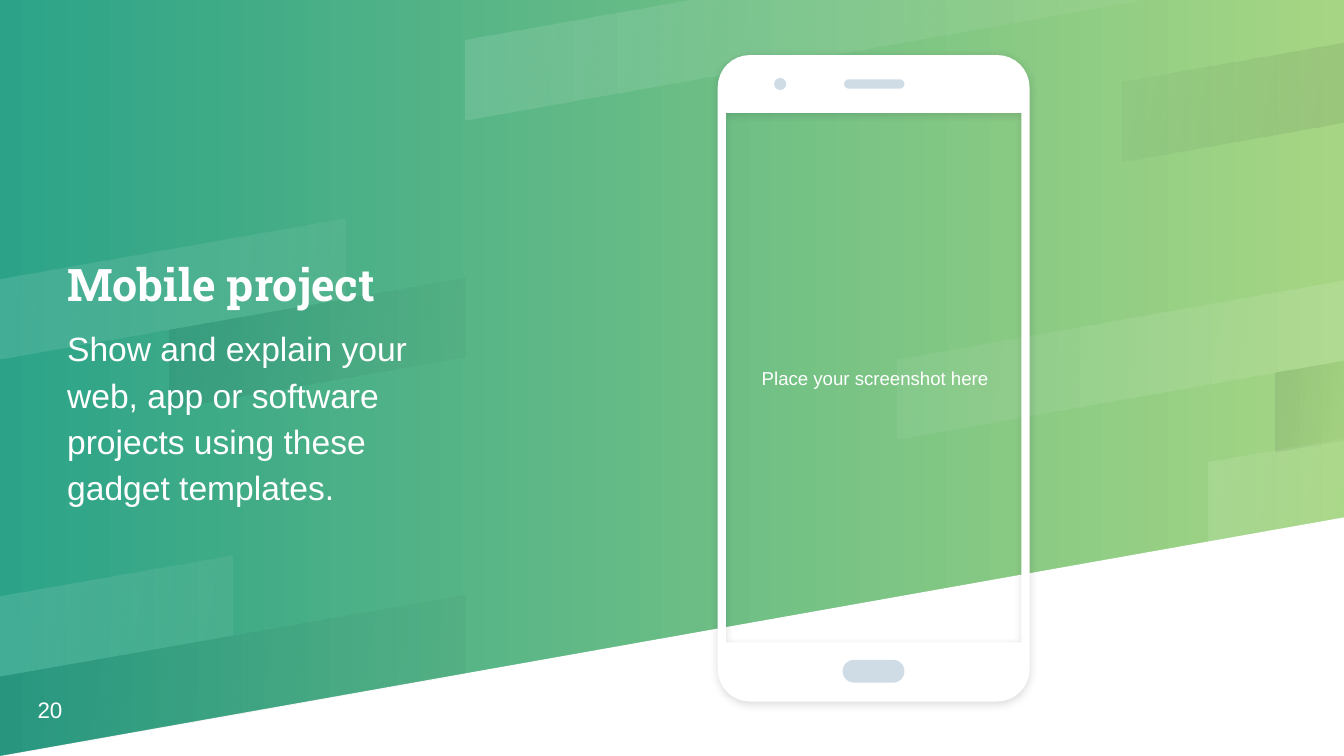
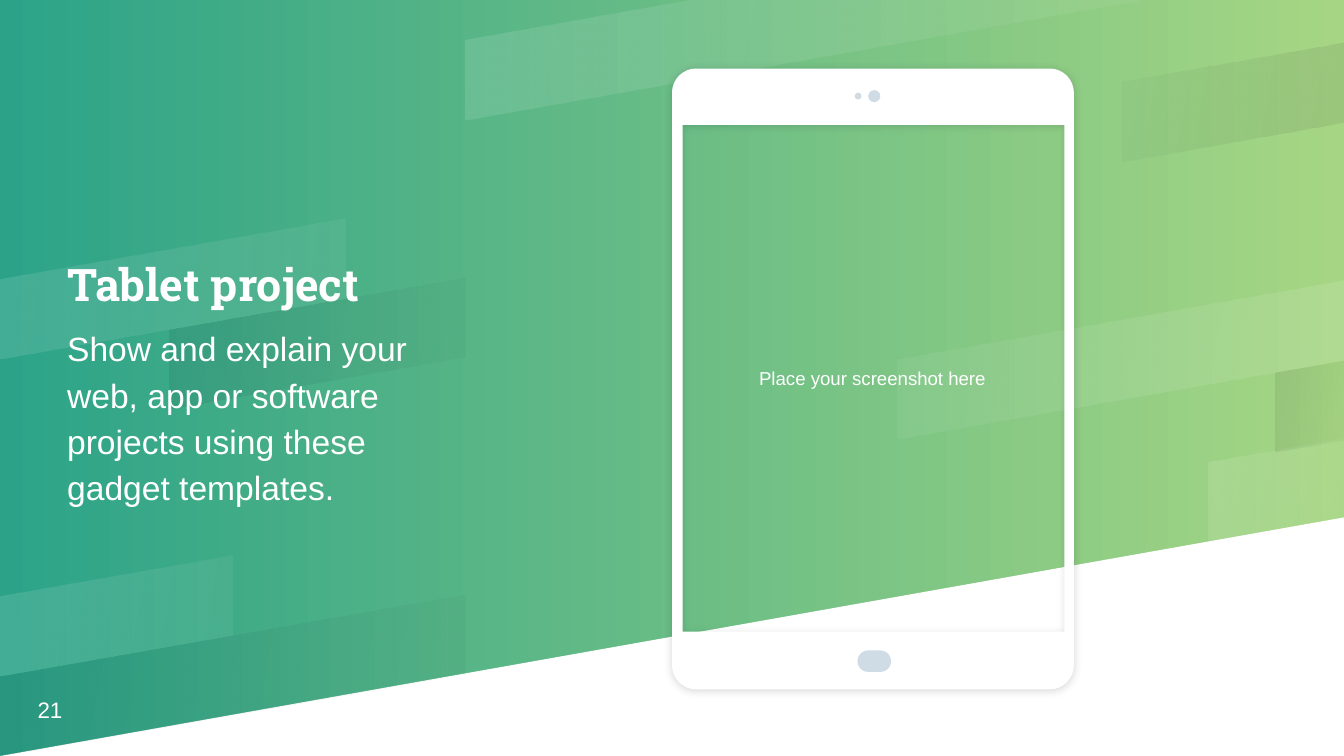
from math import cos, pi, sin

from lxml.etree import SubElement
from pptx import Presentation
from pptx.dml.color import RGBColor
from pptx.enum.shapes import MSO_SHAPE
from pptx.enum.text import MSO_ANCHOR, PP_ALIGN
from pptx.oxml.ns import qn
from pptx.util import Inches, Pt

WIDTH = 10
HEIGHT = WIDTH * 9 / 16
HORIZON = 3.85       # height of the white wedge at the right edge
SLOPE = 1.76 / 10    # rise shared by all bands
BAND_HEIGHT = 0.59

COLORS = {
    "teal": "2CA388",
    "lime": "A6D683",
    "white": "FFFFFF",
    "ink": "00001A",
    "detail": "CFDCE6",
}

# Text styles
TITLE = {"name": "Roboto Slab", "size": Pt(24), "bold": True}
BODY = {"name": "Arial", "size": Pt(18), "bold": False}
HINT = {"name": "Arial", "size": Pt(10)}
NUMBER = {"name": "Arial", "size": Pt(12)}
SPACED = {"line_spacing": 1.15, "space_before": Pt(6)}
CENTERED = {"alignment": PP_ALIGN.CENTER}

# Bands: left, right, top at the left edge, color, opacity from and to (percent)
BANDS = [
    (3.46, 8.48, 0.3, "white", 12, 5),
    (0, 3.46, 5.03, "ink", 8, 2),
    (8.99, 10, 3.44, "white", 12, 5),
    (0, 1.73, 4.44, "white", 12, 5),
    (9.49, 10, 2.77, "ink", 8, 2),
    (6.68, 10, 2.67, "white", 5, 12),
    (1.26, 3.46, 2.45, "ink", 8, 2),
    (0, 2.57, 2.08, "white", 12, 5),
    (8.35, 10, 0.61, "ink", 2, 8),
]

DESCRIPTION = ("Show and explain your web, app or software projects "
               "using these gadget templates.")

# Devices: boxes are left, top, width, height
PROJECTS = [
    {
        "number": "20",
        "title": "Mobile project",
        "body": (5.34, 0.41, 2.32, 4.81),
        "radius": 0.24,
        "screen": (5.4, 0.84, 2.2, 3.94),
        "hint": (5.41, 0.86, 2.2, 3.91),
        "pills": [(6.27, 4.91, 0.46, 0.17), (6.28, 0.59, 0.45, 0.07)],
        "dots": [(5.76, 0.58, 0.09, 0.09)],
    },
    {
        "number": "21",
        "title": "Tablet project",
        "body": (5, 0.51, 2.99, 4.62),
        "radius": 0.18,
        "screen": (5.08, 0.93, 2.84, 3.77),
        "hint": (5.07, 0.93, 2.84, 3.76),
        "pills": [(6.38, 4.84, 0.25, 0.16)],
        "dots": [(6.36, 0.69, 0.05, 0.05), (6.46, 0.67, 0.09, 0.09)],
    },
]


def color(name):
    return RGBColor.from_string(COLORS[name])


def apply(target, formats):
    for name, value in formats.items():
        setattr(target, name, value)


def rounded_outline(left, top, width, height, radius, steps=8):
    """Points of a rounded rectangle, clockwise from the left edge."""
    centers = [
        (left + radius, top + radius),
        (left + width - radius, top + radius),
        (left + width - radius, top + height - radius),
        (left + radius, top + height - radius),
    ]
    points = []
    for corner, (x, y) in enumerate(centers):
        for step in range(steps + 1):
            angle = pi + (corner + step / steps) * pi / 2
            points.append((x + radius * cos(angle), y + radius * sin(angle)))
    return points


class Deck:
    def __init__(self):
        self.presentation = Presentation()
        self.presentation.slide_width = Inches(WIDTH)
        self.presentation.slide_height = Inches(HEIGHT)
        self.slide = None

    def add_slide(self):
        self.slide = self.presentation.slides.add_slide(
            self.presentation.slide_layouts[6])
        self.gradient(self.slide.background.fill, ("teal", "lime"), 0)

    def gradient(self, fill, names, angle):
        fill.gradient()
        fill.gradient_angle = angle
        for stop, name in zip(fill.gradient_stops, names):
            stop.color.rgb = color(name)

    def plain(self, shape, name):
        shape.shadow.inherit = False
        shape.line.fill.background()
        shape.fill.solid()
        shape.fill.fore_color.rgb = color(name)
        return shape

    def polygon(self, name, *contours):
        """One filled outline; a second contour cuts a hole."""
        contours = [[(Inches(x), Inches(y)) for x, y in points]
                    for points in contours]
        builder = self.slide.shapes.build_freeform(*contours[0][0])
        for index, points in enumerate(contours):
            if index:
                builder.move_to(*points[0])
            builder.add_line_segments(points[1:], close=True)
        return self.plain(builder.convert_to_shape(), name)

    def preset(self, kind, box, name):
        shape = self.slide.shapes.add_shape(kind, *map(Inches, box))
        return self.plain(shape, name)

    def band(self, left, right, top, name, *opacities):
        bottom = top + BAND_HEIGHT
        # Each edge stops at the right side or at the top of the slide
        top_end, bottom_end = (min(right, left + y / SLOPE)
                               for y in (top, bottom))
        shape = self.polygon(name, [
            (left, top),
            (top_end, top - SLOPE * (top_end - left)),
            (bottom_end, bottom - SLOPE * (bottom_end - left)),
            (left, bottom),
        ])
        self.gradient(shape.fill, (name, name), 350)
        stops = shape._element.spPr.iter(qn("a:srgbClr"))
        for stop, opacity in zip(list(stops), opacities):
            SubElement(stop, qn("a:alpha"), val=str(opacity * 1000))

    def soft_shadow(self, shape):
        effects = shape._element.spPr.find(qn("a:effectLst"))
        shadow = SubElement(effects, qn("a:outerShdw"), blurRad=str(Pt(4.5)),
                            dist=str(Pt(0.8)), dir="5400000",
                            algn="bl", rotWithShape="0")
        tint = SubElement(shadow, qn("a:srgbClr"), val=COLORS["ink"])
        SubElement(tint, qn("a:alpha"), val="15000")

    def text(self, box, lines, anchor=MSO_ANCHOR.MIDDLE, inset=0, layout=None):
        shape = self.slide.shapes.add_textbox(*map(Inches, box))
        frame = shape.text_frame
        apply(frame, {"word_wrap": True, "vertical_anchor": anchor})
        for side in ("left", "top", "right", "bottom"):
            setattr(frame, f"margin_{side}", Inches(inset))
        for index, (words, style) in enumerate(lines):
            paragraph = frame.add_paragraph() if index else frame.paragraphs[0]
            apply(paragraph, layout or {})
            run = paragraph.add_run()
            run.text = words
            apply(run.font, style)
            run.font.color.rgb = color("white")

    def backdrop(self):
        self.polygon("white", [(0, HEIGHT), (WIDTH, HORIZON), (WIDTH, HEIGHT)])
        for band in BANDS:
            self.band(*band)

    def device(self, project):
        left, top, width, height = project["screen"]
        right, bottom = left + width, top + height
        # The screen runs against the body outline, so it stays open
        screen = [(left, top), (left, bottom), (right, bottom), (right, top)]
        body = rounded_outline(*project["body"], project["radius"])
        self.soft_shadow(self.polygon("white", body, screen))
        for box in project["pills"]:
            pill = self.preset(MSO_SHAPE.ROUNDED_RECTANGLE, box, "detail")
            pill.adjustments[0] = 0.5
        for box in project["dots"]:
            self.preset(MSO_SHAPE.OVAL, box, "detail")

    def project_slide(self, project):
        self.add_slide()
        self.backdrop()
        self.text((0.5, 0.86, 3, 3.91),
                  [(project["title"], TITLE), (DESCRIPTION, BODY)],
                  layout=SPACED)
        self.text(project["hint"], [("Place your screenshot here", HINT)],
                  inset=0.1, layout=CENTERED)
        self.text((0.28, 5.11, 0.53, 0.27), [(project["number"], NUMBER)],
                  anchor=MSO_ANCHOR.BOTTOM)
        self.device(project)


def main():
    deck = Deck()
    for project in PROJECTS:
        deck.project_slide(project)
    deck.presentation.save("out.pptx")


if __name__ == "__main__":
    main()
